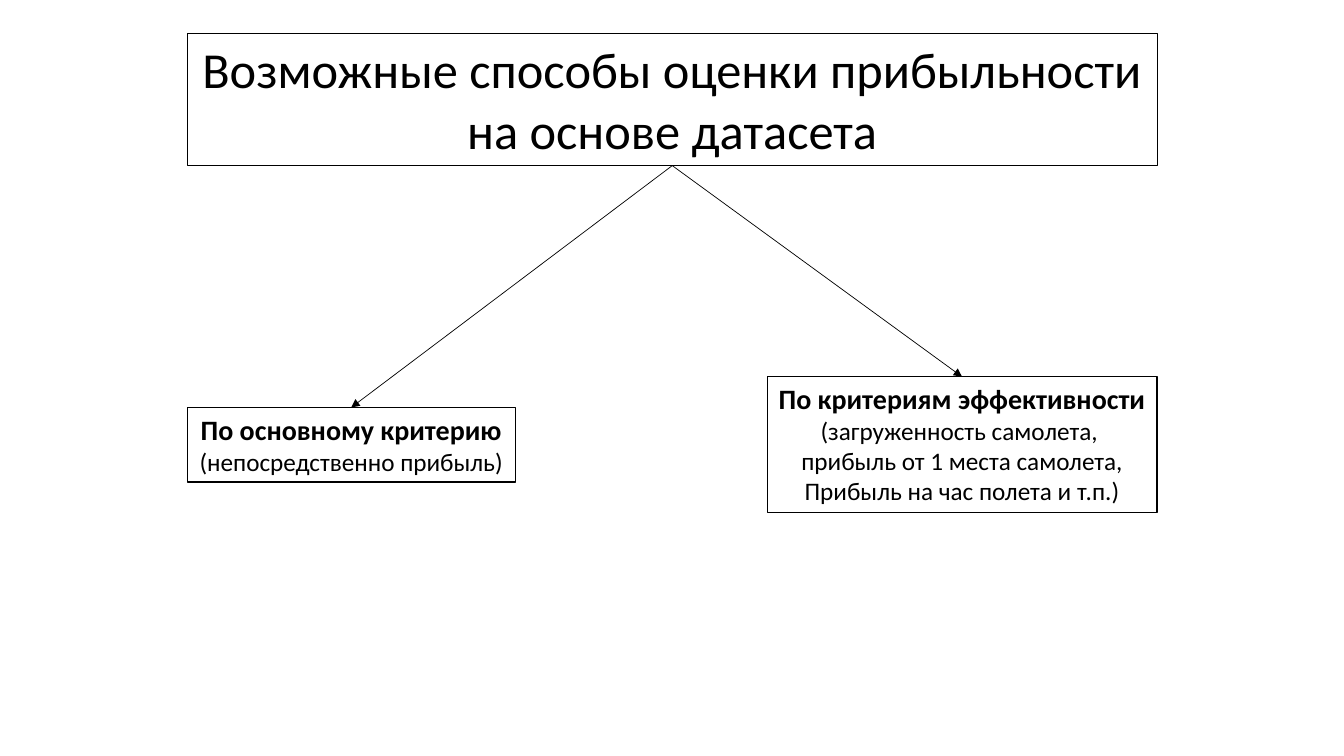
"""Build a slide that splits profitability assessment into two approaches."""
from lxml.etree import SubElement
from pptx import Presentation
from pptx.dml.color import RGBColor
from pptx.enum.shapes import MSO_CONNECTOR as Connector
from pptx.enum.text import MSO_ANCHOR as Anchor, MSO_AUTO_SIZE as AutoSize, PP_ALIGN as Align
from pptx.oxml.ns import qn
from pptx.util import Pt

TITLE = ["Возможные способы оценки прибыльности", "на основе датасета"]
APPROACHES = [
    ("По основному критерию", ["(непосредственно прибыль)"]),
    ("По критериям эффективности", [
        "(загруженность самолета, ",
        "прибыль от 1 места самолета,",
        "Прибыль на час полета и т.п.)",
    ]),
]
COLORS = {"ink": "000000"}
FONT = "Calibri"
LEFT, RIGHT = 133.9, 826.5
MIDDLE_Y = 317.7
TITLE_TOP, TITLE_HEIGHT = 23.8, 94.5
APPROACH_SIZES = [(234, 53.3), (278.6, 97.2)]
INK = RGBColor.from_string(COLORS["ink"])


def style_line(line, width):
    line.color.rgb = INK
    line.width = Pt(width)


def fill_box(box, left, top, width, height, lines):
    box.left, box.top, box.width, box.height = map(Pt, (left, top, width, height))
    style_line(box.line, 0.75)
    frame = box.text_frame
    frame.word_wrap = False
    frame.auto_size = AutoSize.SHAPE_TO_FIT_TEXT
    frame.vertical_anchor = Anchor.TOP
    for index, (text, size, bold) in enumerate(lines):
        para = frame.add_paragraph() if index else frame.paragraphs[0]
        para.alignment = Align.CENTER
        span = para.add_run()
        span.text = text
        span.font.name, span.font.size, span.font.bold = FONT, Pt(size), bold
        span.font.color.rgb = INK


def add_arrow(page, start, end):
    arrow = page.shapes.add_connector(Connector.STRAIGHT, *map(Pt, (*start, *end)))
    style_line(arrow.line, 0.5)
    SubElement(arrow.line._get_or_add_ln(), qn("a:tailEnd"), type="triangle")
    SubElement(arrow._element.spPr, qn("a:effectLst"))


def main():
    deck = Presentation()
    deck.slide_width, deck.slide_height = Pt(960), Pt(540)
    page = deck.slides.add_slide(deck.slide_layouts[5])
    fill_box(page.shapes.title, LEFT, TITLE_TOP, RIGHT - LEFT, TITLE_HEIGHT,
             [(text, 36, False) for text in TITLE])
    start = ((LEFT + RIGHT) / 2, TITLE_TOP + TITLE_HEIGHT)
    lefts = [LEFT, RIGHT - APPROACH_SIZES[1][0]]
    for (heading, details), left, (width, height) in zip(APPROACHES, lefts, APPROACH_SIZES):
        top = MIDDLE_Y - height / 2
        lines = [(heading, 20, True)] + [(text, 18, False) for text in details]
        box = page.shapes.add_textbox(0, 0, 0, 0)
        fill_box(box, left, top, width, height, lines)
        add_arrow(page, start, (left + width / 2, top))
    deck.save("out.pptx")


if __name__ == "__main__":
    main()
